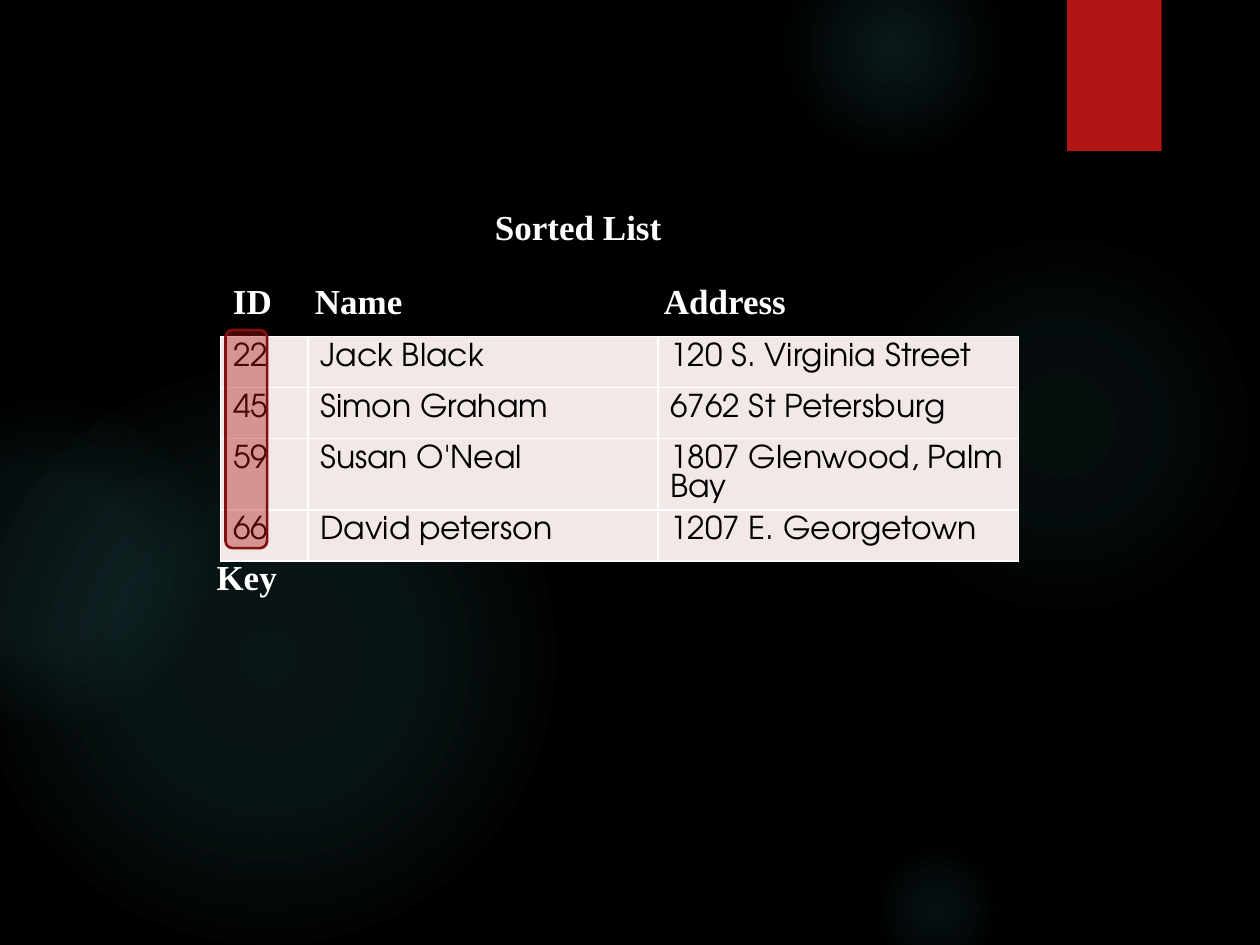
from dataclasses import dataclass
from itertools import product
from typing import NamedTuple

from lxml.etree import SubElement
from pptx import Presentation
from pptx.dml.color import RGBColor
from pptx.enum.shapes import MSO_SHAPE
from pptx.enum.text import MSO_AUTO_SIZE
from pptx.oxml.ns import qn
from pptx.util import Inches, Pt

SLIDE_WIDTH = Inches(10)
SLIDE_HEIGHT = Inches(7.5)


@dataclass(frozen=True)
class Theme:
    background: str = "000000"
    glow: str = "50B9C1"
    accent: str = "B01513"
    accent_dark: str = "82100E"
    cell: str = "F2E8E7"
    light: str = "FFFFFF"
    dark: str = "000000"
    label_font: str = "Times New Roman"
    cell_font: str = "TeX Gyre Adventor"
    label_size: int = 20
    cell_size: int = 18


THEME = Theme()


class Box(NamedTuple):
    """Lengths in percent of the slide's width and height."""
    left: float
    top: float
    width: float
    height: float

    def lengths(self) -> tuple[int, int, int, int]:
        return (across(self.left), down(self.top),
                across(self.width), down(self.height))


class Glow(NamedTuple):
    """Round light; stops pair a radius with an opacity, both in percent."""
    left: float
    top: float
    diameter: float
    stops: tuple[tuple[int, int], ...]


class Label(NamedTuple):
    text: str
    left: float
    top: float
    width: float


LABEL_HEIGHT = 5.87
HEADER_TOP = 28.93
TABLE_LEFT, TABLE_TOP = 17.5, 35.6
COLUMN_WIDTHS = (6.93, 27.78, 28.62)
ROW_HEIGHT = 5.4

GLOWS = (
    Glow(68.9, 24.4, 30.8, ((0, 7), (36, 6), (69, 0))),
    Glow(62.2, -6.67, 17.5, ((0, 14), (36, 7), (73, 0))),
    Glow(68.9, 88.93, 10.8, ((0, 9), (36, 5), (66, 0))),
    Glow(-1.7, 38.93, 45.8, ((0, 11), (36, 10), (75, 0))),
    Glow(-9.2, 42.27, 25.8, ((0, 8), (36, 8), (72, 0))),
)
RECORDS = (
    ("22", "Jack Black", "120 S. Virginia Street"),
    ("45", "Simon Graham", "6762 St Petersburg"),
    ("59", "Susan O'Neal", "1807 Glenwood, Palm Bay"),
    ("66", "David peterson", "1207 E. Georgetown"),
)
LABELS = (
    Label("ID", 17.5, HEADER_TOP, 5.1),
    Label("Name", 24, HEADER_TOP, 9),
    Label("Address", 51.7, HEADER_TOP, 11.8),
    Label("Key", 16.2, 58.13, 6.8),
    Label("Sorted List", 38.3, 21.07, 15.3),
)
TAB = Box(84.7, 0, 7.5, 16)
KEY_FRAME = Box(17.9, 34.93, 3.3, 23.07)


def across(percent: float) -> int:
    return round(SLIDE_WIDTH * percent / 100)


def down(percent: float) -> int:
    return round(SLIDE_HEIGHT * percent / 100)


def add_color(parent, color: str, opacity: int = 100) -> None:
    element = SubElement(parent, qn("a:srgbClr"), val=color)
    SubElement(element, qn("a:alpha"), val=str(opacity * 1000))


def write_text(frame, text: str, *, font: str, size: int, color: str,
               bold: bool = False) -> None:
    run = frame.paragraphs[0].add_run()
    run.text = text
    run.font.name = font
    run.font.size = Pt(size)
    run.font.bold = bold
    run.font.color.rgb = RGBColor.from_string(color)


def add_plain_shape(slide, kind: MSO_SHAPE, box: Box, fill: str):
    shape = slide.shapes.add_shape(kind, *box.lengths())
    shape.shadow.inherit = False
    shape.fill.solid()
    shape.fill.fore_color.rgb = RGBColor.from_string(fill)
    shape.line.fill.background()
    return shape


def add_glow(slide, glow: Glow) -> None:
    height = glow.diameter * SLIDE_WIDTH / SLIDE_HEIGHT
    box = Box(glow.left, glow.top, glow.diameter, height)
    shape = add_plain_shape(slide, MSO_SHAPE.OVAL, box, THEME.glow)
    solid = shape.element.spPr.find(qn("a:solidFill"))
    gradient = solid.makeelement(qn("a:gradFill"), {"rotWithShape": "1"})
    stop_list = SubElement(gradient, qn("a:gsLst"))
    for radius, opacity in glow.stops:
        stop = SubElement(stop_list, qn("a:gs"), pos=str(radius * 1000))
        add_color(stop, THEME.glow, opacity)
    circle = SubElement(gradient, qn("a:path"), {"path": "circle"})
    SubElement(circle, qn("a:fillToRect"), l="50000", t="50000", r="50000", b="50000")
    solid.getparent().replace(solid, gradient)


def add_label(slide, label: Label) -> None:
    box = Box(label.left, label.top, label.width, LABEL_HEIGHT)
    frame = slide.shapes.add_textbox(*box.lengths()).text_frame
    frame.word_wrap = False
    frame.auto_size = MSO_AUTO_SIZE.SHAPE_TO_FIT_TEXT
    write_text(frame, label.text, font=THEME.label_font, size=THEME.label_size,
               color=THEME.light, bold=True)


def format_cell(cell, text: str) -> None:
    properties = cell._tc.get_or_add_tcPr()
    for side in ("lnL", "lnR", "lnT", "lnB"):
        border = SubElement(properties, qn(f"a:{side}"), w=str(Pt(1)))
        add_color(SubElement(border, qn("a:solidFill")), THEME.light)
    cell.fill.solid()
    cell.fill.fore_color.rgb = RGBColor.from_string(THEME.cell)
    write_text(cell.text_frame, text, font=THEME.cell_font,
               size=THEME.cell_size, color=THEME.dark)


def add_record_table(slide) -> None:
    rows, columns = len(RECORDS), len(COLUMN_WIDTHS)
    box = Box(TABLE_LEFT, TABLE_TOP, sum(COLUMN_WIDTHS), ROW_HEIGHT * rows)
    table = slide.shapes.add_table(rows, columns, *box.lengths()).table
    table.first_row = table.horz_banding = False
    for column, width in zip(table.columns, COLUMN_WIDTHS):
        column.width = across(width)
    for row, column in product(range(rows), range(columns)):
        format_cell(table.cell(row, column), RECORDS[row][column])


def add_key_frame(slide) -> None:
    shape = add_plain_shape(slide, MSO_SHAPE.ROUNDED_RECTANGLE, KEY_FRAME, THEME.accent)
    color = shape.element.spPr.find(qn("a:solidFill"))[0]
    SubElement(color, qn("a:alpha"), val="40000")
    shape.line.color.rgb = RGBColor.from_string(THEME.accent_dark)
    shape.line.width = Pt(1.5)


def main() -> None:
    presentation = Presentation()
    presentation.slide_width = SLIDE_WIDTH
    presentation.slide_height = SLIDE_HEIGHT
    slide = presentation.slides.add_slide(presentation.slide_layouts[6])
    slide.background.fill.solid()
    slide.background.fill.fore_color.rgb = RGBColor.from_string(THEME.background)

    for glow in GLOWS:
        add_glow(slide, glow)
    add_plain_shape(slide, MSO_SHAPE.RECTANGLE, TAB, THEME.accent)
    add_record_table(slide)
    add_key_frame(slide)
    for label in LABELS:
        add_label(slide, label)
    presentation.save("out.pptx")


if __name__ == "__main__":
    main()
